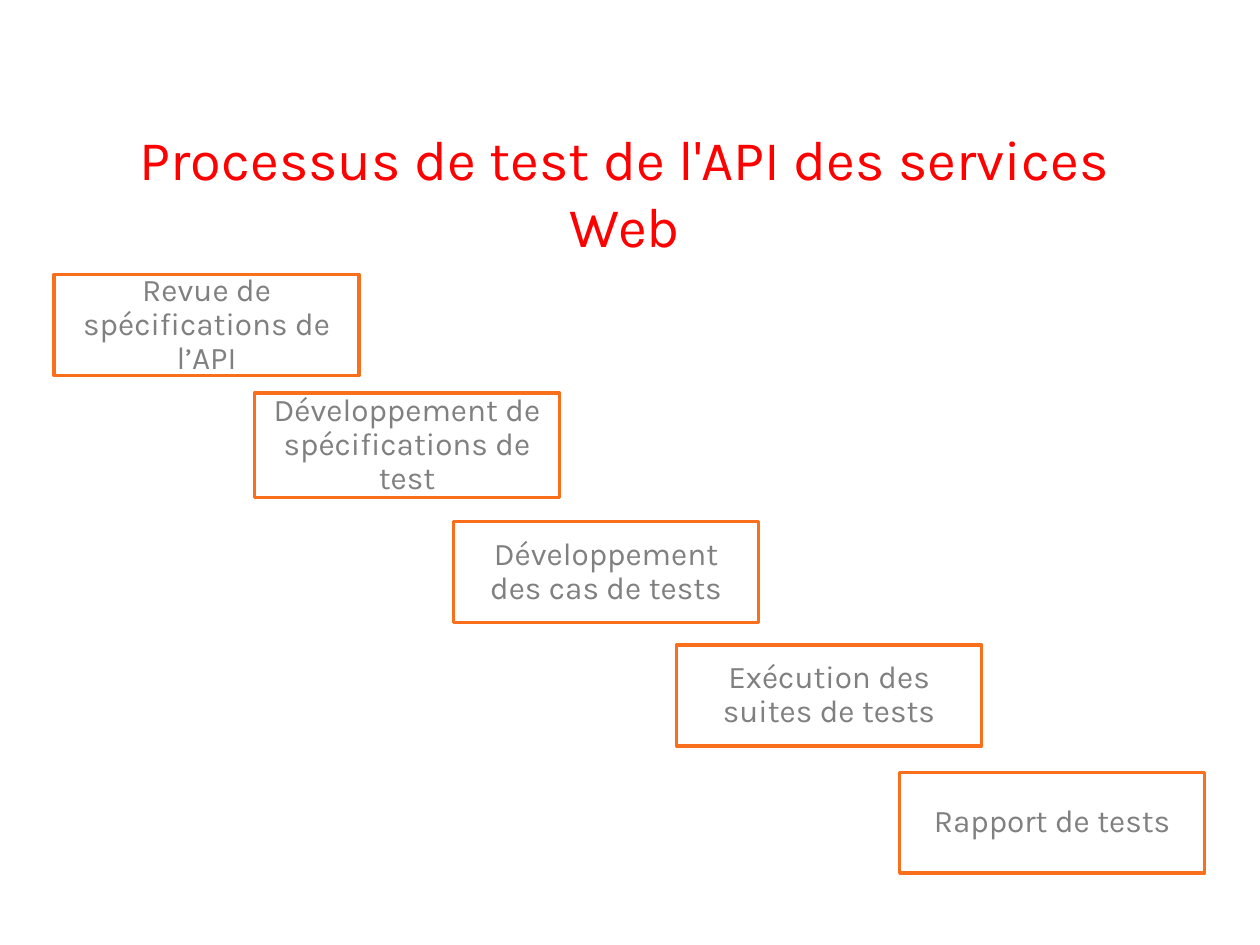
from typing import NamedTuple

from pptx import Presentation
from pptx.dml.color import RGBColor
from pptx.enum.shapes import MSO_SHAPE as Preset
from pptx.enum.text import MSO_ANCHOR as Anchor, PP_ALIGN as Align
from pptx.slide import Slide
from pptx.text.text import TextFrame
from pptx.util import Pt

COLORS = {"title": "FF0000", "text": "808080", "line": "F96F1C", "box": "FFFFFF"}
FONT = "Karla"
STEP_WIDTH = 174.24


class Step(NamedTuple):
    text: str
    left: float
    top: float
    height: float = 57.6


STEPS = [
    Step("Revue de spécifications de l’API", 30.96, 156.96),
    Step("Développement de spécifications de test", 145.44, 224.64, 59.76),
    Step("Développement des cas de tests", 259.2, 298.08),
    Step("Exécution des suites de tests", 386.64, 368.64),
    Step("Rapport de tests", 514.08, 441.36),
]


def color(name: str) -> RGBColor:
    return RGBColor.from_string(COLORS[name])


def write(frame: TextFrame, text: str, size: float, color_name: str,
          space_before: float, line_spacing: float = 1.0) -> None:
    """Fill a frame with one centred paragraph."""
    frame.word_wrap = True
    frame.text = text
    paragraph = frame.paragraphs[0]
    paragraph.alignment = Align.CENTER
    paragraph.space_before = Pt(space_before)
    paragraph.line_spacing = line_spacing
    font = paragraph.runs[0].font
    font.name = FONT
    font.size = Pt(size)
    font.color.rgb = color(color_name)


def draw_step(slide: Slide, step: Step) -> None:
    shape = slide.shapes.add_shape(
        Preset.RECTANGLE, Pt(step.left), Pt(step.top), Pt(STEP_WIDTH), Pt(step.height))
    shape.shadow.inherit = False
    shape.fill.solid()
    shape.fill.fore_color.rgb = color("box")
    shape.line.color.rgb = color("line")
    shape.line.width = Pt(2)
    shape.text_frame.vertical_anchor = Anchor.MIDDLE
    write(shape.text_frame, step.text, 18, "text", space_before=10, line_spacing=0.9)


def main() -> None:
    presentation = Presentation()
    presentation.slide_width = Pt(720)
    presentation.slide_height = Pt(540)
    slide = presentation.slides.add_slide(presentation.slide_layouts[6])

    # Title
    title = slide.shapes.add_textbox(Pt(42.48), Pt(67.68), Pt(629.28), Pt(41.76))
    write(title.text_frame, "Processus de test de l'API des services Web", 32, "title",
          space_before=6.4)

    # Staircase of process steps
    for step in STEPS:
        draw_step(slide, step)

    presentation.save("out.pptx")


if __name__ == "__main__":
    main()
